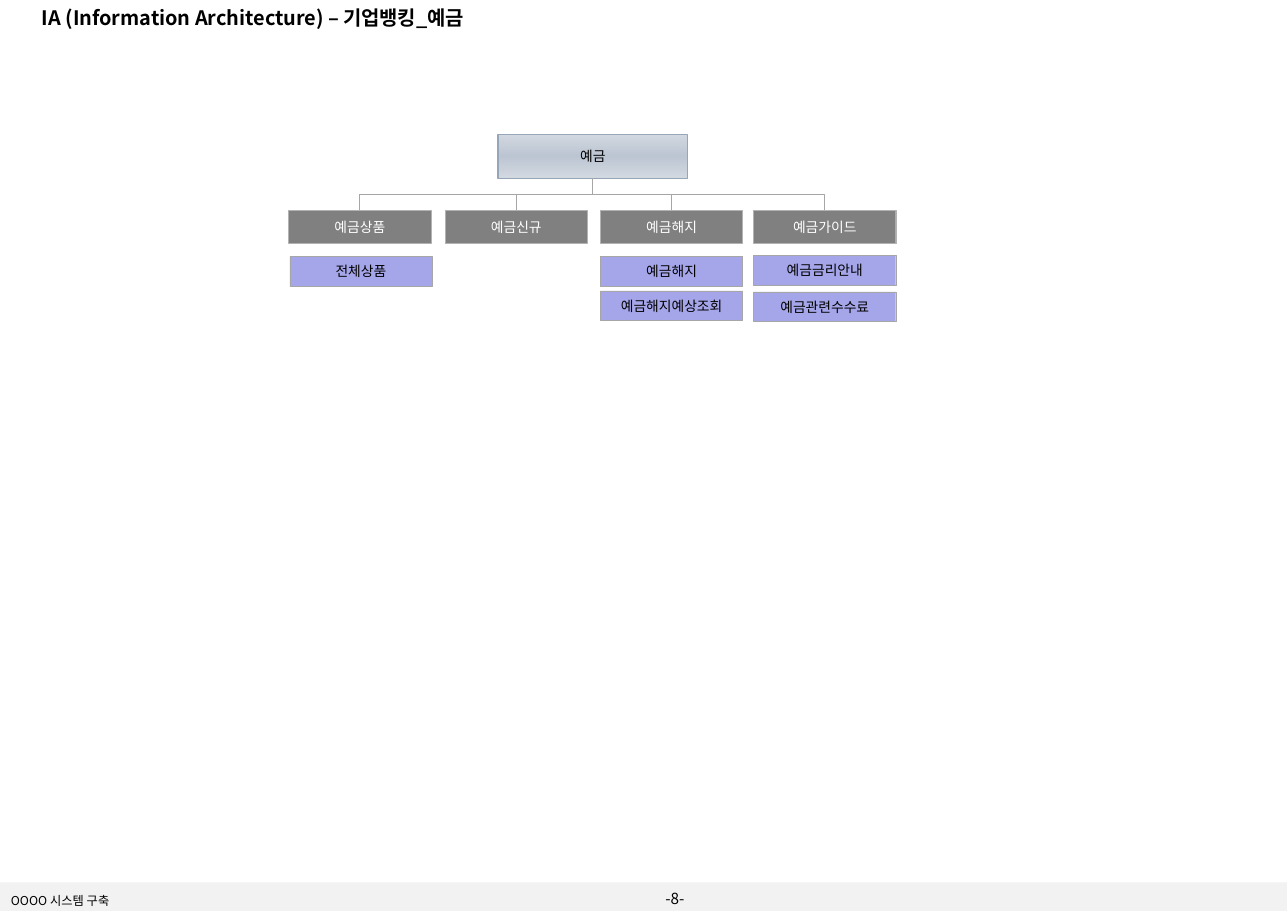
from copy import deepcopy

from lxml.etree import SubElement
from pptx import Presentation
from pptx.dml.color import RGBColor
from pptx.enum.shapes import MSO_CONNECTOR as CONN, MSO_SHAPE as SHAPE
from pptx.enum.text import MSO_ANCHOR as ANCHOR, PP_ALIGN as ALIGN
from pptx.oxml.ns import qn
from pptx.util import Pt

PX = 9144
FONT = "Noto Sans CJK KR"
ROOT_BOX = (452, 122, 172, 40)
MENU_TOP, MENU_W, MENU_H, LEAF_H = 191, 129, 30, 27
MENUS = [
    (262, "예금상품", [(263, 233, 4, "전체상품")]),
    (404, "예금신규", []),
    (545, "예금해지", [(545, 233, 4, "예금해지"), (545, 264, 4, "예금해지예상조회")]),
    (684, "예금가이드", [(684, 232, 11, "예금금리안내"), (684, 265, 11, "예금관련수수료")]),
]
ROOT = {"fill": ("D2D8E0", "BCC5D2", "D2D8E0"), "line": "96A5B8", "weight": 0.75}
MENU = {"fill": "808080", "line": "B2B2B2", "weight": 0.25}
LEAF = {"fill": "A5A5E9", "line": "A6A6A6", "weight": 0.25}


def px(*values):
    return [round(v * PX) for v in values]


def rgb(code):
    return RGBColor.from_string(code)


def write(sp, text, size, color="000000", bold=False, align=ALIGN.LEFT, inset=(11, 5)):
    tf = sp.text_frame
    dx, dy = px(*inset)
    frame = {"word_wrap": True, "vertical_anchor": ANCHOR.MIDDLE,
             "margin_left": dx, "margin_right": dx,
             "margin_top": dy, "margin_bottom": dy}
    for name, value in frame.items():
        setattr(tf, name, value)
    p = tf.paragraphs[0]
    p.alignment = align
    r = p.add_run()
    r.text = text
    for name, value in {"size": Pt(size), "bold": bold, "name": FONT}.items():
        setattr(r.font, name, value)
    r.font.color.rgb = rgb(color)
    SubElement(r.font._element, qn("a:ea"), typeface=FONT)


def add_label(s, box, text, size, **style):
    write(s.shapes.add_textbox(*px(*box)), text, size, **style)


def fill_gradient(sp, colors):
    sp.fill.gradient()
    sp.fill.gradient_angle = 90
    stops = sp.element.spPr.find(".//" + qn("a:gsLst"))
    stops.append(deepcopy(stops[0]))
    for i, (stop, color) in enumerate(zip(sp.fill.gradient_stops, colors)):
        stop.position = i / (len(colors) - 1)
        stop.color.rgb = rgb(color)


def add_box(s, box, look):
    sp = s.shapes.add_shape(SHAPE.RECTANGLE, *px(*box))
    sp.shadow.inherit = False
    if isinstance(look["fill"], tuple):
        fill_gradient(sp, look["fill"])
    else:
        sp.fill.solid()
        sp.fill.fore_color.rgb = rgb(look["fill"])
    if "line" in look:
        sp.line.color.rgb = rgb(look["line"])
        sp.line.width = Pt(look["weight"])
    else:
        sp.line.fill.background()
    return sp


def add_node(s, box, look, text, inset, color="000000"):
    sp = add_box(s, box, look)
    write(sp, text, 9, color=color, align=ALIGN.CENTER, inset=inset)
    return sp


def add_branch(s, parent, child):
    x1, y1 = parent.left + parent.width // 2, parent.top + parent.height
    x2, y2 = child.left + child.width // 2, child.top
    c = s.shapes.add_connector(CONN.ELBOW, x1, y1, x2, y2)
    c.begin_connect(parent, 2)
    c.end_connect(child, 0)
    drop, span = y2 - y1, abs(x2 - x1)
    place = {"left": (x1 + x2 - drop) // 2, "top": (y1 + y2 - span) // 2,
             "width": drop, "height": span}
    for name, value in place.items():
        setattr(c, name, value)
    xfrm = c._element.spPr.find(qn("a:xfrm"))
    xfrm.attrib.pop("flipH", None)
    xfrm.set("rot", "5400000" if x2 < x1 else "16200000")
    if x2 > x1:
        xfrm.set("flipH", "1")
    c.line.color.rgb = rgb("A6A6A6")
    c.line.width = Pt(0.75)
    SubElement(c._element.spPr, qn("a:effectLst"))


def add_footer(s):
    add_box(s, (-1, 801, 1169, 26), {"fill": "F2F2F2"})
    add_label(s, (593, 804, 50, 23), "-8-", 10)
    add_label(s, (0, 807, 488, 21), "OOOO 시스템 구축", 8, inset=(10, 5))


def add_menu_tree(s):
    root = add_node(s, ROOT_BOX, ROOT, "예금", (4, 4))
    for x, name, leaves in MENUS:
        menu = add_node(s, (x, MENU_TOP, MENU_W, MENU_H), MENU, name, (0, 0), "FFFFFF")
        add_branch(s, root, menu)
        for left, top, margin, text in leaves:
            add_node(s, (left, top, MENU_W, LEAF_H), LEAF, text, (margin, 5))


def main():
    prs = Presentation()
    prs.slide_width, prs.slide_height = px(1169, 827)
    s = prs.slides.add_slide(prs.slide_layouts[6])
    add_footer(s)
    add_label(s, (27, -1, 669, 33), "IA (Information Architecture) – 기업뱅킹_예금", 13, bold=True)
    add_menu_tree(s)
    prs.save("out.pptx")


if __name__ == "__main__":
    main()
